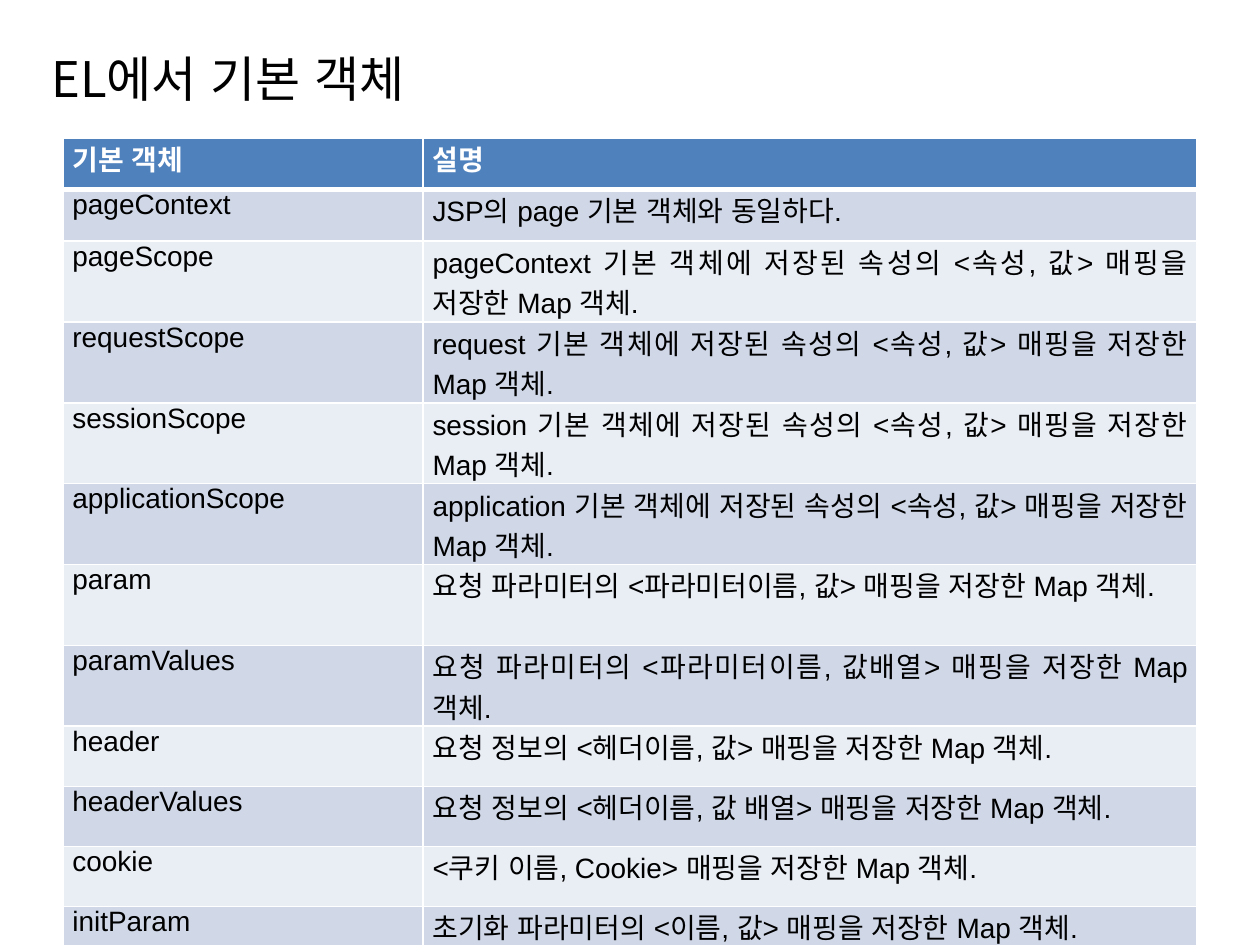
from dataclasses import dataclass

from lxml import etree
from pptx import Presentation
from pptx.dml.color import RGBColor
from pptx.enum.lang import MSO_LANGUAGE_ID
from pptx.enum.text import MSO_ANCHOR, PP_ALIGN
from pptx.oxml.ns import qn
from pptx.util import Cm, Pt

MIDDLE = MSO_ANCHOR.MIDDLE
JUSTIFY = PP_ALIGN.JUSTIFY
KOREAN = MSO_LANGUAGE_ID.KOREAN
BLANK_LAYOUT = 6


@dataclass(frozen=True)
class Theme:
    """Colours, fonts and type sizes of the slide."""
    ink: RGBColor = RGBColor(0x00, 0x00, 0x00)
    header_ink: RGBColor = RGBColor(0xFF, 0xFF, 0xFF)
    header_fill: RGBColor = RGBColor(0x4F, 0x81, 0xBD)
    rule: RGBColor = RGBColor(0xFF, 0xFF, 0xFF)
    bands: tuple = (RGBColor(0xD0, 0xD8, 0xE8), RGBColor(0xE9, 0xED, 0xF4))
    korean_font: str = "Noto Sans CJK KR"
    body_font: str = "Arial"
    title_size: Pt = Pt(28)
    body_size: Pt = Pt(16)
    header_rule: Pt = Pt(3)


THEME = Theme()

HEADINGS = ("기본 객체", "설명")
SCOPE_TEXT = "{} 기본 객체에 저장된 속성의 <속성, 값> 매핑을 저장한 Map 객체."
SCOPES = [
    (scope + "Scope", SCOPE_TEXT.format(holder))
    for scope, holder in (
        ("page", "pageContext"),
        ("request", "request"),
        ("session", "session"),
        ("application", "application"),
    )
]
IMPLICIT_OBJECTS = [
    ("pageContext", "JSP의 page 기본 객체와 동일하다."),
    *SCOPES,
    ("param", "요청 파라미터의 <파라미터이름, 값> 매핑을 저장한 Map 객체."),
    ("paramValues", "요청 파라미터의 <파라미터이름, 값배열> 매핑을 저장한 Map 객체."),
    ("header", "요청 정보의 <헤더이름, 값> 매핑을 저장한 Map 객체."),
    ("headerValues", "요청 정보의 <헤더이름, 값 배열> 매핑을 저장한 Map 객체."),
    ("cookie", "<쿠키 이름, Cookie> 매핑을 저장한 Map 객체."),
    ("initParam", "초기화 파라미터의 <이름, 값> 매핑을 저장한 Map 객체."),
]
COLUMN_WIDTHS = (Cm(7.26), Cm(15.6))
ROW_HEIGHTS = [Cm(1.04)] * 2 + [Cm(1.63)] * 6 + [Cm(1.21)] * 4


def style_paragraph(paragraph, name, size, color, bold=False):
    """Set the Latin and Korean type of a paragraph."""
    for part in (paragraph, *paragraph.runs):
        part.font.language_id = KOREAN
    font = paragraph.font
    font.name = name
    font.size = size
    font.bold = bold
    font.color.rgb = color
    properties = paragraph._p.pPr.find(qn("a:defRPr"))
    latin = properties.find(qn("a:latin"))
    east_asian = etree.Element(qn("a:ea"), typeface=THEME.korean_font)
    latin.addnext(east_asian)


def add_title(slide, text):
    """Add the slide heading."""
    heading = slide.shapes.add_textbox(Cm(0.79), Cm(0.76), Cm(24), Cm(1.63))
    frame = heading.text_frame
    frame.word_wrap = True
    frame.vertical_anchor = MIDDLE
    frame.text = text
    style_paragraph(frame.paragraphs[0], THEME.korean_font,
                    THEME.title_size, THEME.ink)


def rule_below(cell):
    """Draw the heavy rule under a header cell."""
    line = etree.Element(qn("a:lnB"), w=str(int(THEME.header_rule)))
    fill = etree.SubElement(line, qn("a:solidFill"))
    etree.SubElement(fill, qn("a:srgbClr"), val=str(THEME.rule))
    cell._tc.get_or_add_tcPr().insert(0, line)


def fill_cell(cell, text, fill, ink, bold):
    """Write one table cell with its fill and type."""
    cell.margin_left = cell.margin_right = Cm(0.19)
    cell.margin_top = cell.margin_bottom = 0
    cell.fill.solid()
    cell.fill.fore_color.rgb = fill
    cell.text = text
    paragraph = cell.text_frame.paragraphs[0]
    paragraph.alignment = JUSTIFY
    style_paragraph(paragraph, THEME.body_font, THEME.body_size, ink, bold)


def add_object_table(slide, headings, entries):
    """Add the table of implicit objects with alternating row fills."""
    rows = [headings, *entries]
    table = slide.shapes.add_table(
        len(rows), len(headings), Cm(1.27), Cm(2.78),
        sum(COLUMN_WIDTHS), sum(ROW_HEIGHTS)).table
    for column, width in zip(table.columns, COLUMN_WIDTHS):
        column.width = width
    for index, (entry, height) in enumerate(zip(rows, ROW_HEIGHTS)):
        table.rows[index].height = height
        is_header = index == 0
        fill = THEME.header_fill if is_header else THEME.bands[(index - 1) % 2]
        ink = THEME.header_ink if is_header else THEME.ink
        for cell, text in zip(table.rows[index].cells, entry):
            fill_cell(cell, text, fill, ink, is_header)
            if is_header:
                rule_below(cell)


def main():
    """Build and save the slide."""
    presentation = Presentation()
    presentation.slide_width = Cm(25.4)
    presentation.slide_height = Cm(19.05)
    slide = presentation.slides.add_slide(
        presentation.slide_layouts[BLANK_LAYOUT])
    add_title(slide, "EL에서 기본 객체")
    add_object_table(slide, HEADINGS, IMPLICIT_OBJECTS)
    presentation.save("out.pptx")


main()
